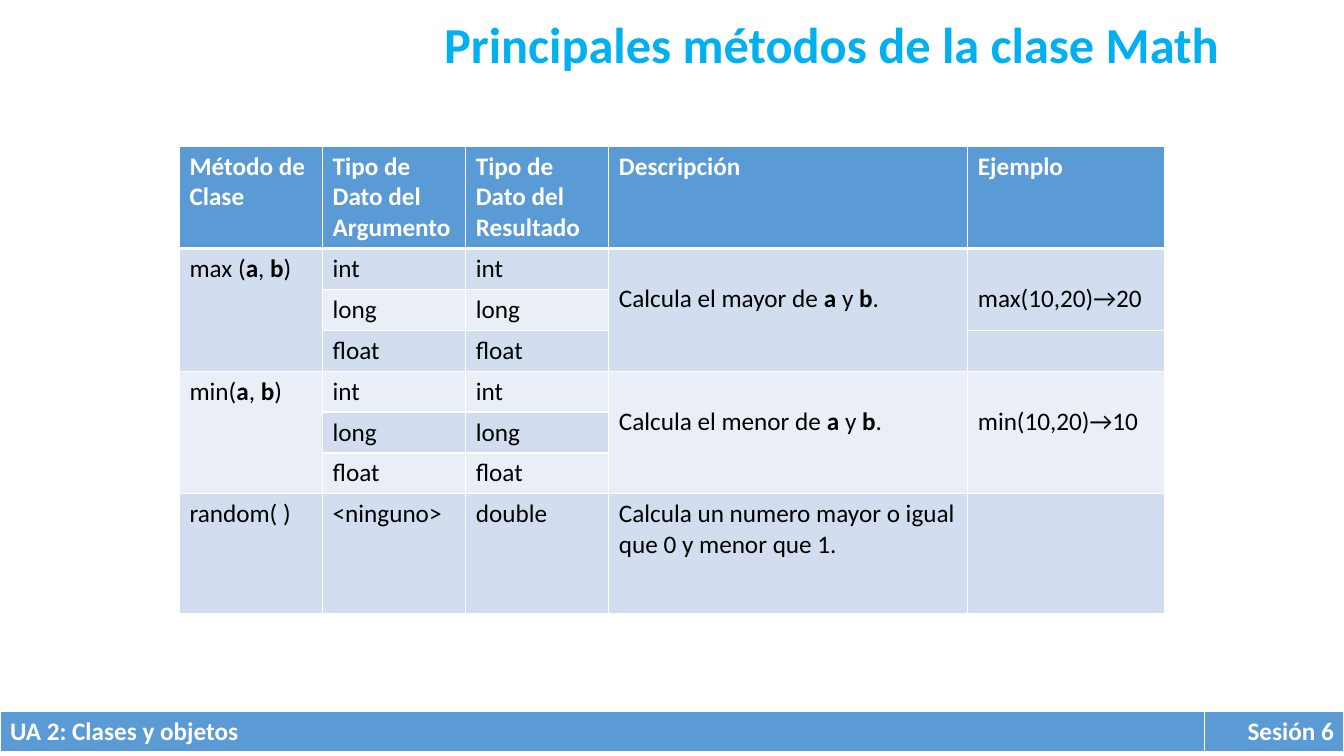
import pptx
import pptx.util
import pptx.dml.color
import pptx.enum.text
import pptx.oxml
import pptx.oxml.ns

Inches, Pt = pptx.util.Inches, pptx.util.Pt
ALIGN = pptx.enum.text.PP_ALIGN
TOP = pptx.enum.text.MSO_ANCHOR.TOP
FONT = "Calibri"
HEX = {"title": "00B0F0", "head": "5B9BD5", "odd": "D2DEEF",
       "even": "EAEFF7", "white": "FFFFFF", "black": "000000"}

# Content: "*" switches bold, a line break starts a paragraph
TITLE = "Principales métodos de la clase Math"
FOOT = ["UA 2: Clases y objetos", "Sesión 6"]
HEAD = ["Método de\nClase", "Tipo de\nDato del\nArgumento",
        "Tipo de\nDato del\nResultado", "Descripción", "Ejemplo"]
KINDS = ["int", "long", "float"]
GROUPS = [
    ("max (*a*, *b*)", "Calcula el mayor de *a *y *b*.", "max(10,20)→20", 2),
    ("min(*a*, *b*)", "Calcula el menor de *a *y *b*.", "min(10,20)→10", 3),
]
LAST = ["random( )", "<ninguno>", "double",
        "Calcula un numero mayor o igual\nque 0 y menor que 1.", ""]


def write(frame, text, color, size=18, bold=False, align=ALIGN.LEFT):
    for i, line in enumerate(text.split("\n")):
        para = frame.paragraphs[0] if i == 0 else frame.add_paragraph()
        para.alignment = align
        for j, part in enumerate(line.split("*")):
            if part:
                run = para.add_run()
                run.text = part
                font = run.font
                font.name, font.size = FONT, Pt(size)
                font.bold = bold or j % 2 == 1
                font.color.rgb = pptx.dml.color.RGBColor.from_string(HEX[color])


def edge(cell, top, bottom):
    props = cell._tc.get_or_add_tcPr()
    for side, width in (("L", 1), ("R", 1), ("T", top), ("B", bottom)):
        props.append(pptx.oxml.parse_xml(
            f'<a:ln{side} {pptx.oxml.ns.nsdecls("a")} w="{Pt(width)}"><a:solidFill>'
            f'<a:srgbClr val="{HEX["white"]}"/></a:solidFill></a:ln{side}>'))


def grid(left, top, cols, rows):
    table = slide.shapes.add_table(
        len(rows), len(cols), Inches(left), Inches(top),
        Inches(sum(cols)), Inches(sum(rows))).table
    table.horz_banding = False
    for col, width in zip(table.columns, cols):
        col.width = Inches(width)
    for row, height in zip(table.rows, rows):
        row.height = Inches(height)
    for r in range(len(rows)):
        for c in range(len(cols)):
            cell = table.cell(r, c)
            edge(cell, 3 if r == 1 else 1, 3 if r == 0 else 1)
            tone = "head" if r == 0 else "odd" if r % 2 else "even"
            cell.fill.solid()
            cell.fill.fore_color.rgb = pptx.dml.color.RGBColor.from_string(HEX[tone])
    return table


deck = pptx.Presentation()
deck.slide_width, deck.slide_height = Inches(13.33), Inches(7.5)
slide = deck.slides.add_slide(deck.slide_layouts[5])

# Title
title = slide.shapes.title
title.left, title.top = Inches(3.17), Inches(0.08)
title.width, title.height = Inches(10.16), Inches(0.71)
frame = title.text_frame
frame.word_wrap, frame.vertical_anchor = True, TOP
frame.margin_left = frame.margin_right = Inches(0.2)
write(frame, TITLE, "title", 36, True, ALIGN.CENTER)

# Footer bar
foot = grid(0, 7.06, [11.95, 1.38], [0.41])
for c, text in enumerate(FOOT):
    write(foot.cell(0, c).text_frame, text, "white", bold=True,
          align=ALIGN.RIGHT if c else ALIGN.LEFT)

# Methods table
main = grid(1.78, 1.45, [1.42, 1.42, 1.42, 3.56, 1.95], [1] + [0.4] * 6 + [1.19])
for c, text in enumerate(HEAD):
    write(main.cell(0, c).text_frame, text, "white", bold=True)
for g, (name, note, demo, span) in enumerate(GROUPS):
    first = 1 + g * len(KINDS)
    for c, text, size in ((0, name, 3), (3, note, 3), (4, demo, span)):
        cell = main.cell(first, c)
        cell.merge(main.cell(first + size - 1, c))
        write(cell.text_frame, text, "black")
        if c:
            cell.margin_top = Inches(0.35)
    for k, kind in enumerate(KINDS):
        for c in (1, 2):
            write(main.cell(first + k, c).text_frame, kind, "black")
for c, text in enumerate(LAST):
    write(main.cell(7, c).text_frame, text, "black")

deck.save("out.pptx")
